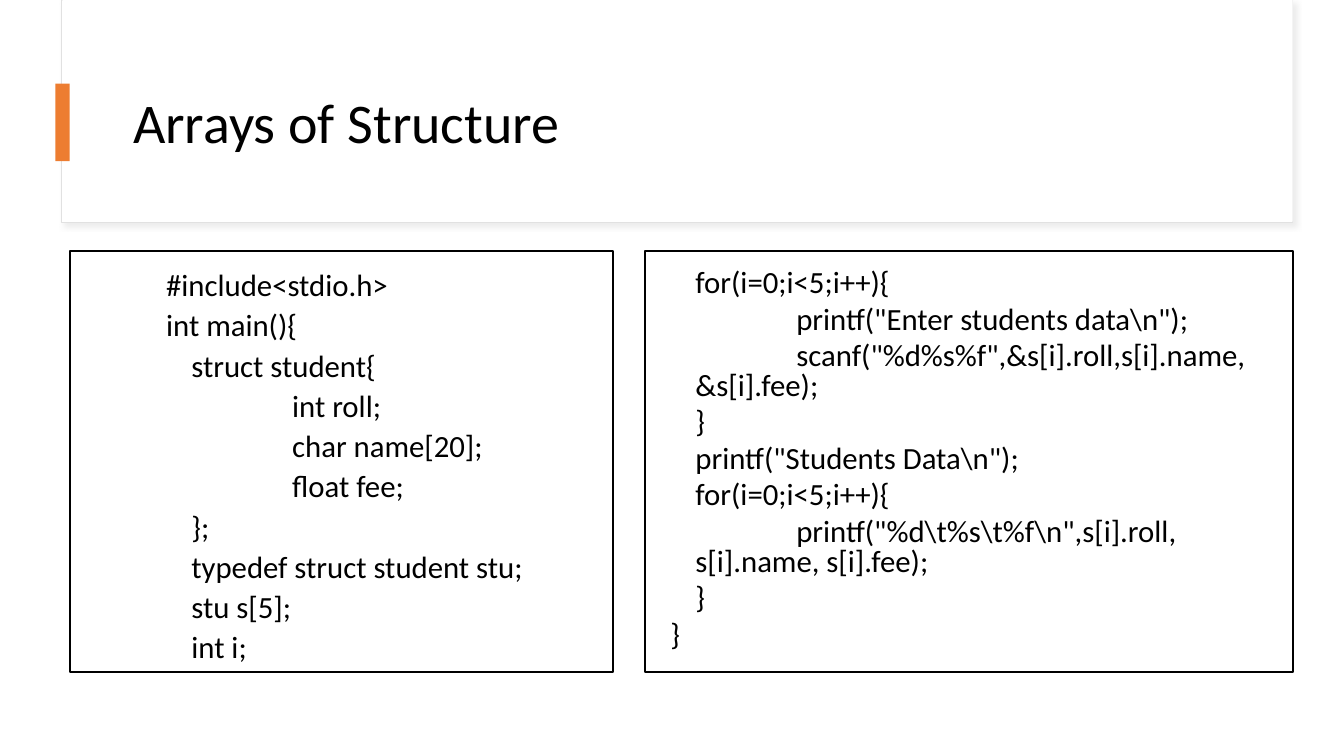
from dataclasses import dataclass

from lxml.etree import SubElement
from pptx import Presentation
from pptx.dml.color import RGBColor
from pptx.enum.shapes import MSO_SHAPE as Preset
from pptx.enum.text import MSO_ANCHOR as Anchor, PP_ALIGN as Align
from pptx.oxml.ns import qn
from pptx.util import Inches, Pt


@dataclass(frozen=True)
class Theme:
    """Colours, font and type sizes of the slide."""
    paper: str = "FFFFFF"
    ink: str = "000000"
    accent: str = "ED7D31"
    hairline: str = "E1E1E1"
    shade: str = "D9D9D9"
    font: str = "Calibri"
    title_size: int = 40
    code_size: int = 22


class SlideBuilder:
    """Draws styled elements on one slide."""

    def __init__(self, slide, theme):
        """Keep the slide and its theme."""
        self.slide = slide
        self.theme = theme

    def rectangle(self, box, fill=None, line=None, width=0.75):
        """Add a rectangle with optional fill and outline."""
        rect = self.slide.shapes.add_shape(Preset.RECTANGLE, *map(Inches, box))
        rect.shadow.inherit = False
        if fill:
            rect.fill.solid()
            rect.fill.fore_color.rgb = RGBColor.from_string(fill)
        else:
            rect.fill.background()
        if line:
            rect.line.color.rgb = RGBColor.from_string(line)
            rect.line.width = Pt(width)
        else:
            rect.line.fill.background()
        return rect

    def soft_shadow(self, shape):
        """Give a shape a light shadow towards the lower right."""
        effects = shape.element.spPr.find(qn("a:effectLst"))
        shadow = SubElement(effects, qn("a:outerShdw"), blurRad=str(Pt(4)),
                            dist=str(Pt(3)), dir=str(45 * 60000), algn="tl")
        colour = SubElement(shadow, qn("a:srgbClr"), val=self.theme.shade)
        SubElement(colour, qn("a:alpha"), val="50000")

    def add_run(self, paragraph, text, size):
        """Add one run in the theme's font and ink."""
        run = paragraph.add_run()
        run.text = text
        run.font.name = self.theme.font
        run.font.size = Pt(size)
        run.font.color.rgb = RGBColor.from_string(self.theme.ink)

    def title(self, text, box):
        """Place the title placeholder in front of the header card."""
        heading = self.slide.shapes.title
        heading.left, heading.top, heading.width, heading.height = map(Inches, box)
        self.slide.shapes.element.append(heading.element)
        heading.text_frame.vertical_anchor = Anchor.MIDDLE
        paragraph = heading.text_frame.paragraphs[0]
        paragraph.alignment = Align.LEFT
        paragraph.line_spacing = 0.9
        self.add_run(paragraph, text, self.theme.title_size)

    def code(self, source, box, line_spacing):
        """Add a code listing, one paragraph per line, with hanging indents."""
        frame = self.slide.shapes.add_textbox(*map(Inches, box)).text_frame
        frame.word_wrap = True
        for number, code_line in enumerate(source):
            paragraph = frame.add_paragraph() if number else frame.paragraphs[0]
            paragraph.alignment = Align.LEFT
            paragraph.line_spacing = line_spacing
            paragraph.space_before = Pt(5)
            properties = paragraph._p.get_or_add_pPr()
            properties.set("marL", str(Inches(1.25)))
            properties.set("indent", str(Inches(-0.25)))
            properties.set("defTabSz", str(Inches(1)))
            self.add_run(paragraph, code_line, self.theme.code_size)


DECLARATIONS = [
    "#include<stdio.h>",
    "int main(){",
    "\tstruct student{",
    "\t\tint roll;",
    "\t\tchar name[20];",
    "\t\tfloat fee;",
    "\t};",
    "\ttypedef struct student stu;",
    "\tstu s[5];",
    "\tint i;",
]
LOOPS = [
    "\tfor(i=0;i<5;i++){",
    '\t\tprintf("Enter students data\\n");',
    '\t\tscanf("%d%s%f",&s[i].roll,s[i].name, &s[i].fee);',
    "\t}",
    '\tprintf("Students Data\\n");',
    "\tfor(i=0;i<5;i++){",
    '\t\tprintf("%d\\t%s\\t%f\\n",s[i].roll, s[i].name, s[i].fee);',
    "\t}",
    "}",
]


def main():
    """Build the slide and save it."""
    deck = Presentation()
    deck.slide_width, deck.slide_height = Inches(13.33), Inches(7.5)
    theme = Theme()
    builder = SlideBuilder(deck.slides.add_slide(deck.slide_layouts[5]), theme)

    header = builder.rectangle((0.61, 0, 12.21, 2.21), theme.paper, theme.hairline)
    builder.soft_shadow(header)
    builder.rectangle((0.62, 0, 12.2, 2.2), theme.paper)
    builder.title("Arrays of Structure", (1.22, 0.6, 11.12, 1.29))
    builder.rectangle((0.55, 0.83, 0.14, 0.77), theme.accent)

    code_top, code_height = 2.63, 4.04
    builder.code(DECLARATIONS, (0.55, code_top, 5.86, code_height), 0.9)
    builder.code(LOOPS, (5.55, code_top, 7.46, code_height), 0.8)
    for left, width in ((0.69, 5.39), (6.4, 6.42)):
        builder.rectangle((left, 2.49, width, 4.18), line=theme.ink, width=1.5)

    deck.save("out.pptx")


main()
